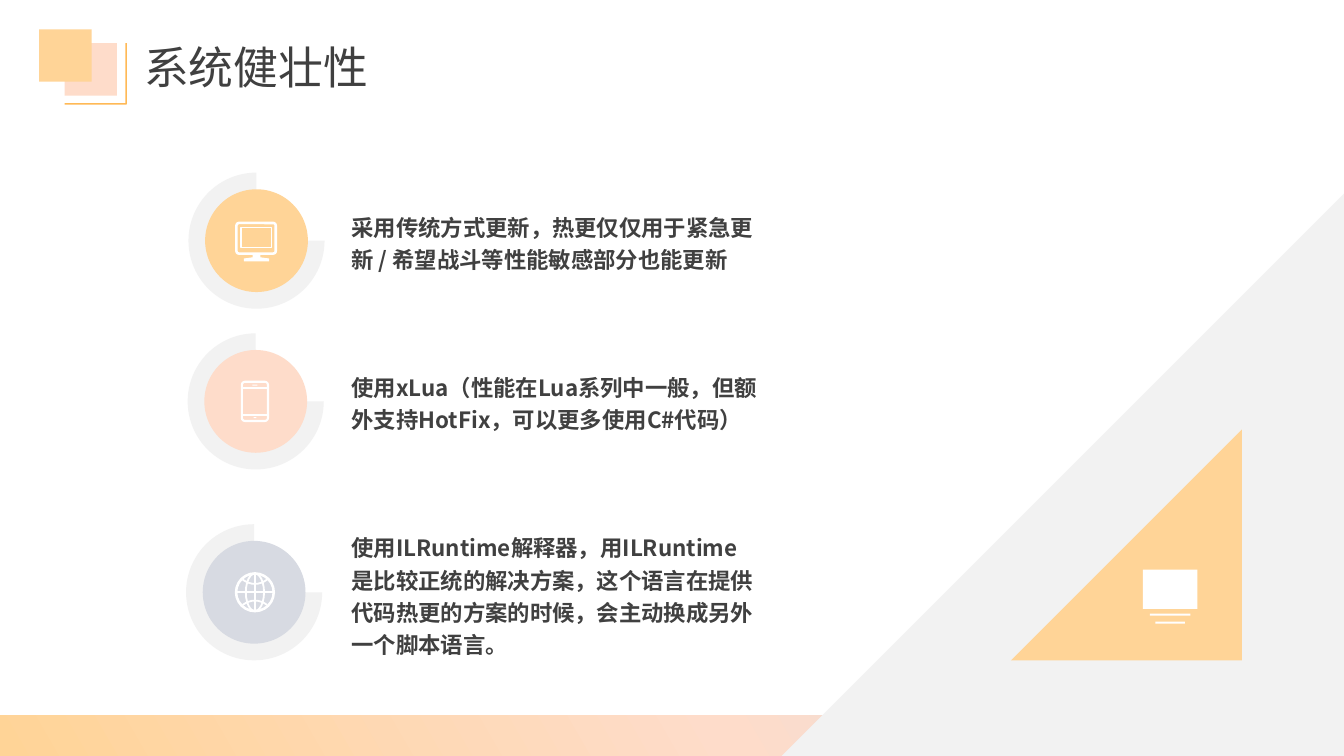
"""Build the slide on system robustness with three medallion points."""
from collections.abc import Callable
from copy import deepcopy
from dataclasses import dataclass

from lxml import etree
from pptx import Presentation
from pptx.dml.color import RGBColor
from pptx.enum.shapes import MSO_CONNECTOR, MSO_SHAPE
from pptx.enum.text import MSO_ANCHOR, PP_ALIGN
from pptx.oxml.ns import qn
from pptx.util import Cm, Pt

RECT = MSO_SHAPE.RECTANGLE
ROUNDED = MSO_SHAPE.ROUNDED_RECTANGLE
OVAL = MSO_SHAPE.OVAL
PIE = MSO_SHAPE.PIE
TRIANGLE = MSO_SHAPE.RIGHT_TRIANGLE
STRAIGHT = MSO_CONNECTOR.STRAIGHT
TOP, MIDDLE = MSO_ANCHOR.TOP, MSO_ANCHOR.MIDDLE
LEFT = PP_ALIGN.LEFT

WHITE = RGBColor(0xFF, 0xFF, 0xFF)
ORANGE = RGBColor(0xFF, 0xD4, 0x97)
PINK = RGBColor(0xFE, 0xDC, 0xCA)
LAVENDER = RGBColor(0xD7, 0xDA, 0xE2)
AMBER = RGBColor(0xFF, 0xAA, 0x32)
PALE_GRAY = RGBColor(0xF2, 0xF2, 0xF2)
DARK = RGBColor(0x40, 0x40, 0x40)

TITLE_FONT = "Noto Sans CJK JP"
BODY_FONT = "Noto Sans CJK SC"
SLIDE_W, SLIDE_H = 33.87, 19.05
RING, DISC = 3.43, 2.59
POINT_LEFT, POINT_TOP, POINT_STEP, POINT_W = 8.61, 5.13, 4.04, 10.75


@dataclass(frozen=True)
class Point:
    """One statement with its medallion."""
    text: str
    height: float
    ring_left: float
    ring_top: float
    color: RGBColor
    draw_icon: Callable[..., None]


def paint(shape, fill: RGBColor | None, line: RGBColor | None, weight: float) -> None:
    """Set fill and outline, and drop the shadow."""
    shape.shadow.inherit = False
    if fill is None:
        shape.fill.background()
    else:
        shape.fill.solid()
        shape.fill.fore_color.rgb = fill
    if line is None:
        shape.line.fill.background()
    else:
        shape.line.color.rgb = line
        shape.line.width = Pt(weight)


def add_preset(shapes, kind, left: float, top: float, width: float, height: float, *,
               fill: RGBColor | None = None, line: RGBColor | None = None,
               weight: float = 1, flip: str = ""):
    """Add a preset shape, measured in centimetres."""
    shape = shapes.add_shape(kind, Cm(left), Cm(top), Cm(width), Cm(height))
    paint(shape, fill, line, weight)
    if flip:
        shape._element.spPr.find(qn("a:xfrm")).set(flip, "1")
    return shape


def add_centered(shapes, kind, x: float, y: float, width: float, height: float, **look):
    """Add a preset shape around a centre."""
    return add_preset(shapes, kind, x - width / 2, y - height / 2, width, height, **look)


def add_outline(shapes, points: list[tuple[float, float]], *, closed: bool = False,
                fill: RGBColor | None = None, line: RGBColor | None = None,
                weight: float = 1):
    """Add a freeform through the given points."""
    corners = [(Cm(x), Cm(y)) for x, y in points]
    builder = shapes.build_freeform(*corners[0])
    builder.add_line_segments(corners[1:], close=closed)
    shape = builder.convert_to_shape()
    paint(shape, fill, line, weight)
    return shape


def add_stroke(shapes, x1: float, y1: float, x2: float, y2: float, weight: float) -> None:
    """Add a straight white line."""
    stroke = shapes.add_connector(STRAIGHT, Cm(x1), Cm(y1), Cm(x2), Cm(y2))
    stroke.line.color.rgb = WHITE
    stroke.line.width = Pt(weight)
    etree.SubElement(stroke._element.spPr, qn("a:effectLst"))


def write_text(frame, text: str, *, font: str, size: float, bold: bool = False,
               anchor=TOP, spacing: float = 1.0) -> None:
    """Fill a text frame with one formatted paragraph."""
    frame.word_wrap = True
    frame.vertical_anchor = anchor
    paragraph = frame.paragraphs[0]
    paragraph.alignment = LEFT
    paragraph.line_spacing = spacing
    run = paragraph.add_run()
    run.text = text
    run.font.name = font
    run.font.size = Pt(size)
    run.font.bold = bold
    run.font.color.rgb = DARK
    etree.SubElement(run._r.get_or_add_rPr(), qn("a:ea"), typeface=font)


def draw_monitor(shapes, x: float, y: float) -> None:
    """Draw a monitor on its stand."""
    frame = add_centered(shapes, ROUNDED, x - 0.01, y - 0.06, 0.99, 0.77,
                         line=WHITE, weight=1.8)
    frame.adjustments[0] = 0.08
    add_centered(shapes, RECT, x - 0.01, y - 0.08, 0.76, 0.5, line=WHITE, weight=0.9)
    right_half = [(0.1, 0.36), (0.1, 0.42), (0.32, 0.45), (0.32, 0.52)]
    stand = right_half + [(-dx, dy) for dx, dy in reversed(right_half)]
    add_outline(shapes, [(x + dx, y + dy) for dx, dy in stand], closed=True, fill=WHITE)


def draw_phone(shapes, x: float, y: float) -> None:
    """Draw a phone with its speaker and button."""
    x -= 0.02
    case = add_centered(shapes, ROUNDED, x, y, 0.66, 0.99, line=WHITE, weight=1.5)
    case.adjustments[0] = 0.12
    for side in (-1, 1):
        edge = y + side * 0.34
        add_stroke(shapes, x - 0.33, edge, x + 0.33, edge, 1.2)
    for dy, width in ((-0.41, 0.13), (0.41, 0.07)):
        add_centered(shapes, ROUNDED, x, y + dy, width, 0.03, fill=WHITE)


def draw_globe(shapes, x: float, y: float) -> None:
    """Draw a globe with meridians and parallels."""
    x += 0.02
    radius = 0.475
    add_centered(shapes, OVAL, x, y, 2 * radius, 2 * radius, line=WHITE, weight=1.8)
    add_centered(shapes, OVAL, x, y, 0.46, 2 * radius, line=WHITE, weight=1.3)
    add_stroke(shapes, x - radius, y, x + radius, y, 1.3)
    add_stroke(shapes, x, y - radius, x, y + radius, 1.3)
    for side in (-1, 1):
        parallel = [(x + 0.31 * t / 4, y + side * (0.21 + 0.11 * (t / 4) ** 2))
                    for t in range(-4, 5)]
        add_outline(shapes, parallel, line=WHITE, weight=1.3)


POINTS = [
    Point("采用传统方式更新，热更仅仅用于紧急更新 / 希望战斗等性能敏感部分也能更新",
          1.91, 4.75, 4.35, ORANGE, draw_monitor),
    Point("使用xLua（性能在Lua系列中一般，但额外支持HotFix，可以更多使用C#代码）",
          1.91, 4.73, 8.4, PINK, draw_phone),
    Point("使用ILRuntime解释器，用ILRuntime是比较正统的解决方案，这个语言在提供代码热更的方案的时候，"
          "会主动换成另外一个脚本语言。",
          3.53, 4.69, 13.21, LAVENDER, draw_globe),
]


def draw_backdrop(shapes) -> None:
    """Draw the title squares, the bottom band and the gray corner."""
    add_preset(shapes, RECT, 1.63, 1.09, 1.32, 1.32, fill=PINK)
    band = add_preset(shapes, RECT, 0, 18.03, SLIDE_W, 1.02, flip="flipV")
    band.fill.gradient()
    band.fill.gradient_angle = 330
    stop_list = band._element.spPr.find(".//" + qn("a:gsLst"))
    stop_list.append(deepcopy(stop_list[-1]))
    stops = ((0, ORANGE), (0.54, PINK), (1, LAVENDER))
    for stop, (position, color) in zip(band.fill.gradient_stops, stops):
        stop.position = position
        stop.color.rgb = color
    add_preset(shapes, RECT, 0.99, 0.74, 1.32, 1.32, fill=ORANGE)
    bracket = add_outline(shapes, [(3.18, 1.09), (3.18, 2.62), (1.63, 2.62)], line=AMBER)
    amber = bracket._element.spPr.find(qn("a:ln")).find(".//" + qn("a:srgbClr"))
    etree.SubElement(amber, qn("a:alpha"), val="82000")
    add_preset(shapes, TRIANGLE, 19.65, 4.88, 14.22, 14.22, fill=PALE_GRAY, flip="flipH")


def draw_point(shapes, point: Point, top: float) -> None:
    """Draw a statement and its medallion."""
    statement = shapes.add_textbox(Cm(POINT_LEFT), Cm(top), Cm(POINT_W), Cm(point.height))
    write_text(statement.text_frame, point.text, font=BODY_FONT, size=16, bold=True,
               spacing=1.2)
    medallion = shapes.add_group_shape().shapes
    x, y = point.ring_left + RING / 2, point.ring_top + RING / 2
    add_centered(medallion, PIE, x, y, RING, RING, fill=PALE_GRAY)
    add_centered(medallion, OVAL, x, y, DISC, DISC, fill=point.color)
    point.draw_icon(medallion, x, y)


def draw_corner(shapes) -> None:
    """Draw the orange triangle with its screen."""
    corner = shapes.add_group_shape().shapes
    add_preset(corner, TRIANGLE, 25.48, 10.82, 5.82, 5.82, fill=ORANGE, flip="flipH")
    for y, width, height in ((14.85, 1.38, 0.99), (15.49, 1.02, 0.05), (15.69, 0.74, 0.05)):
        add_centered(corner, RECT, 29.49, y, width, height, fill=WHITE)


def main() -> None:
    """Build and save the presentation."""
    deck = Presentation()
    deck.slide_width, deck.slide_height = Cm(SLIDE_W), Cm(SLIDE_H)
    shapes = deck.slides.add_slide(deck.slide_layouts[6]).shapes
    draw_backdrop(shapes)
    for row, point in enumerate(POINTS):
        draw_point(shapes, point, POINT_TOP + row * POINT_STEP)
    draw_corner(shapes)
    title = add_preset(shapes, RECT, 3.38, 0.51, 13.08, 2.34, fill=WHITE)
    write_text(title.text_frame, "系统健壮性", font=TITLE_FONT, size=32, anchor=MIDDLE)
    deck.save("out.pptx")


if __name__ == "__main__":
    main()
